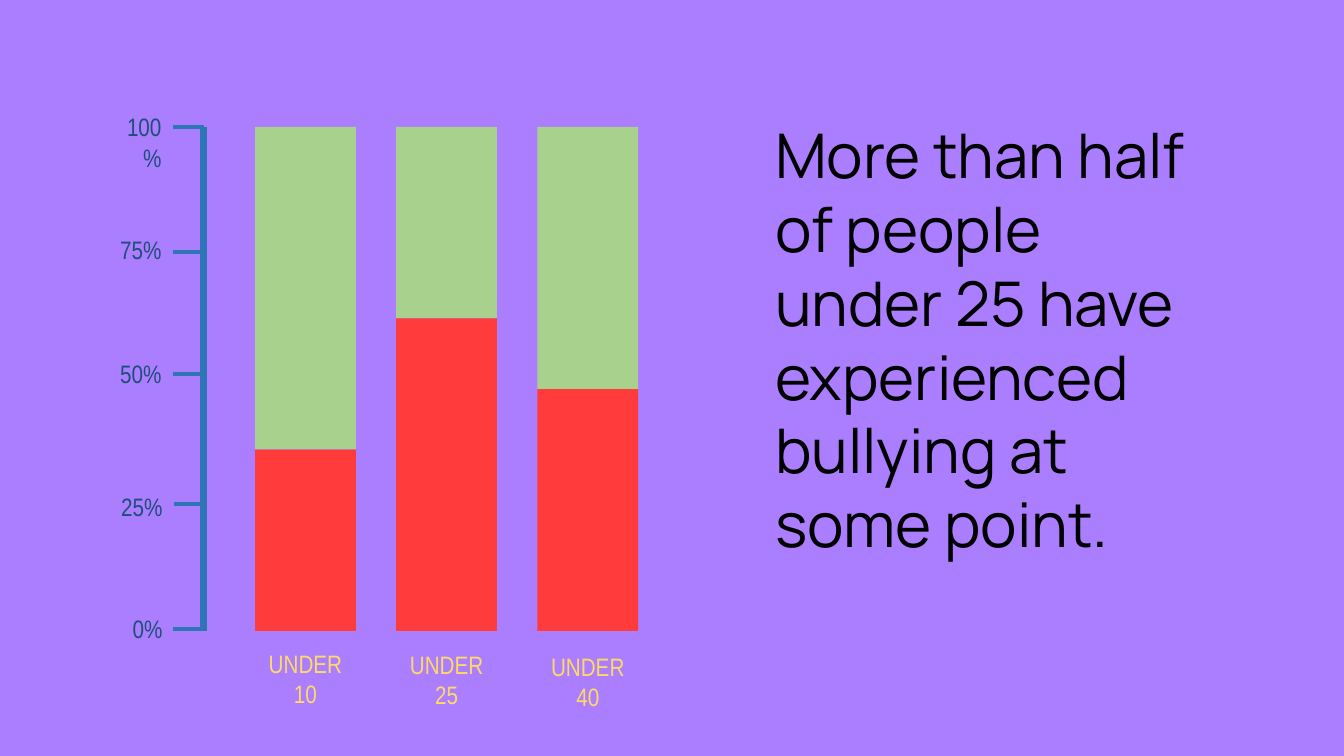
from dataclasses import dataclass

from lxml import etree
from pptx import Presentation, util as u
from pptx.dml.color import RGBColor
from pptx.enum import shapes, text
from pptx.oxml.ns import qn

PX = 9144  # one hundredth of an inch
AXIS_X, TICK_LENGTH = 202, 30
CHART_TOP, CHART_HEIGHT = 126, 500
FIRST_BAR_X, BAR_STEP, BAR_WIDTH = 253, 140, 100
LABEL_HEIGHT = 40

PURPLE, GREEN, RED = "AB7DFF", "A9D18E", "FF3B3B"
BLUE, NAVY, YELLOW, BLACK = "2E75B6", "1F4E79", "FFD966", "000000"


@dataclass
class Bar:
    label: str
    red_height: int
    label_top: int


@dataclass
class Tick:
    label: str
    y: int
    label_top: int
    shift: int = 0
    label_shift: int = 0


@dataclass
class Style:
    font: str
    size: int
    color: str
    align: text.PP_ALIGN


BARS = [Bar("UNDER 10", 180, 638), Bar("UNDER 25", 310, 639), Bar("UNDER 40", 240, 641)]
TICKS = [
    Tick("100%", 126, 106),
    Tick("75%", 250, 228),
    Tick("50%", 371, 351),
    Tick("25%", 500, 483, shift=1, label_shift=1),
    Tick("0%", 624, 604, label_shift=1),
]
MESSAGE = Style("Manrope", 44, BLACK, text.PP_ALIGN.LEFT)
TICK_LABEL = Style("Arial Narrow", 18, NAVY, text.PP_ALIGN.RIGHT)
BAR_LABEL = Style("Arial Narrow", 18, YELLOW, text.PP_ALIGN.CENTER)


def px(*lengths: int) -> list[u.Emu]:
    return [u.Emu(length * PX) for length in lengths]


def paint(fill, color: str) -> None:
    fill.solid()
    fill.fore_color.rgb = RGBColor.from_string(color)


def add_text(page, words: str, left: int, top: int, width: int, height: int, style: Style) -> None:
    box = page.shapes.add_textbox(*px(left, top, width, height))
    frame = box.text_frame
    frame.word_wrap = True
    frame.auto_size = text.MSO_AUTO_SIZE.SHAPE_TO_FIT_TEXT
    frame.text = words
    para = frame.paragraphs[0]
    para.alignment = style.align
    font = para.runs[0].font
    font.name, font.size = style.font, u.Pt(style.size)
    paint(font.fill, style.color)


def add_block(group, left: int, top: int, height: int, color: str) -> None:
    block = group.shapes.add_shape(
        shapes.MSO_SHAPE.RECTANGLE, *px(left, top, BAR_WIDTH, height))
    block.shadow.inherit = False
    paint(block.fill, color)
    block.line.fill.background()


def add_line(group, x1: int, y1: int, x2: int, y2: int, weight: float) -> None:
    line = group.shapes.add_connector(shapes.MSO_CONNECTOR.STRAIGHT, *px(x1, y1, x2, y2))
    paint(line.line.fill, BLUE)
    line.line.width = u.Pt(weight)
    etree.SubElement(line._element.spPr, qn("a:effectLst"))


def add_bars(page) -> None:
    for index, bar in enumerate(BARS):
        left = FIRST_BAR_X + index * BAR_STEP
        green_height = CHART_HEIGHT - bar.red_height
        group = page.shapes.add_group_shape()
        add_block(group, left, CHART_TOP, green_height, GREEN)
        add_block(group, left, CHART_TOP + green_height, bar.red_height, RED)
        add_text(page, bar.label, left, bar.label_top, BAR_WIDTH, LABEL_HEIGHT, BAR_LABEL)


def add_axis(page) -> None:
    group = page.shapes.add_group_shape()
    add_line(group, AXIS_X, CHART_TOP, AXIS_X, CHART_TOP + CHART_HEIGHT, 4.5)
    for tick in TICKS:
        end = AXIS_X + tick.shift
        add_line(group, end - TICK_LENGTH, tick.y, end, tick.y, 3)
        add_text(page, tick.label, 104 + tick.label_shift, tick.label_top,
                 66, LABEL_HEIGHT, TICK_LABEL)


def main() -> None:
    deck = Presentation()
    deck.slide_width, deck.slide_height = px(1333, 750)
    page = deck.slides.add_slide(deck.slide_layouts[6])
    paint(page.background.fill, PURPLE)
    add_text(page, "More than half of people under 25 have experienced bullying at some point.",
             759, 111, 443, 528, MESSAGE)
    add_bars(page)
    add_axis(page)
    deck.save("out.pptx")


if __name__ == "__main__":
    main()
